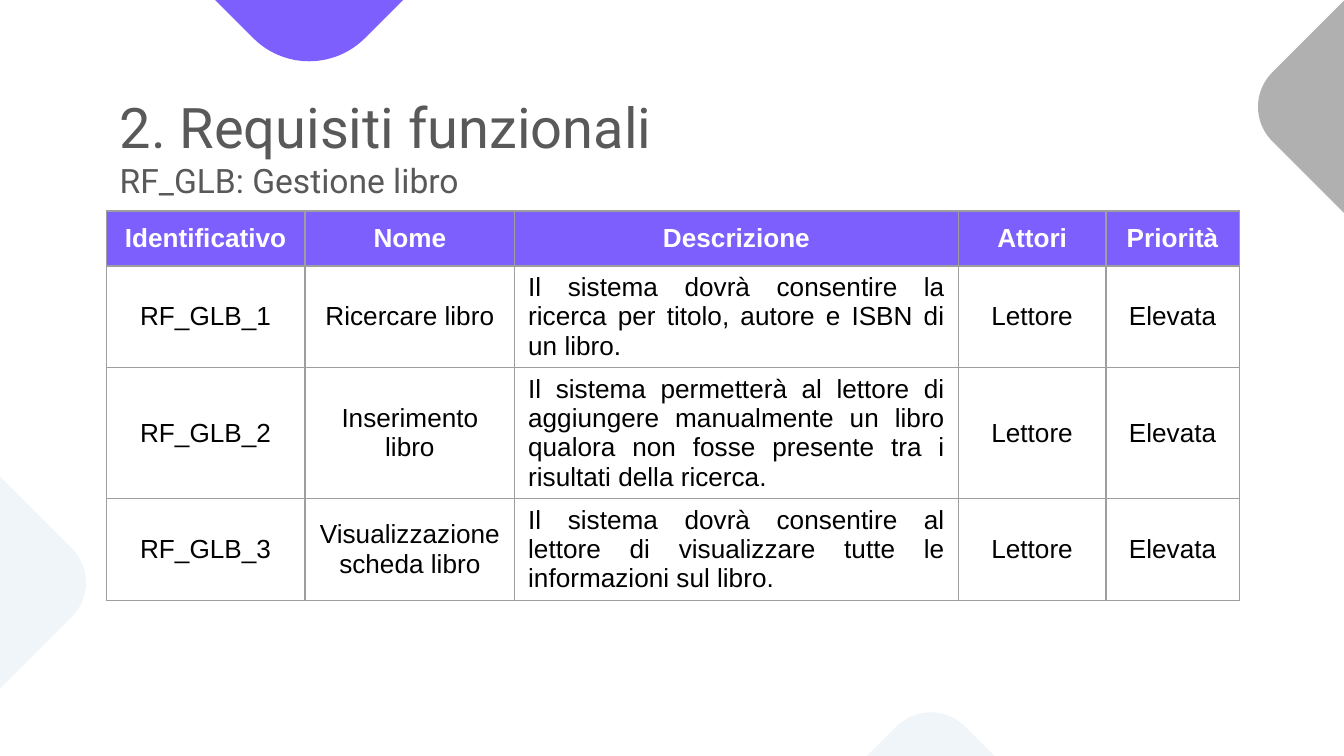
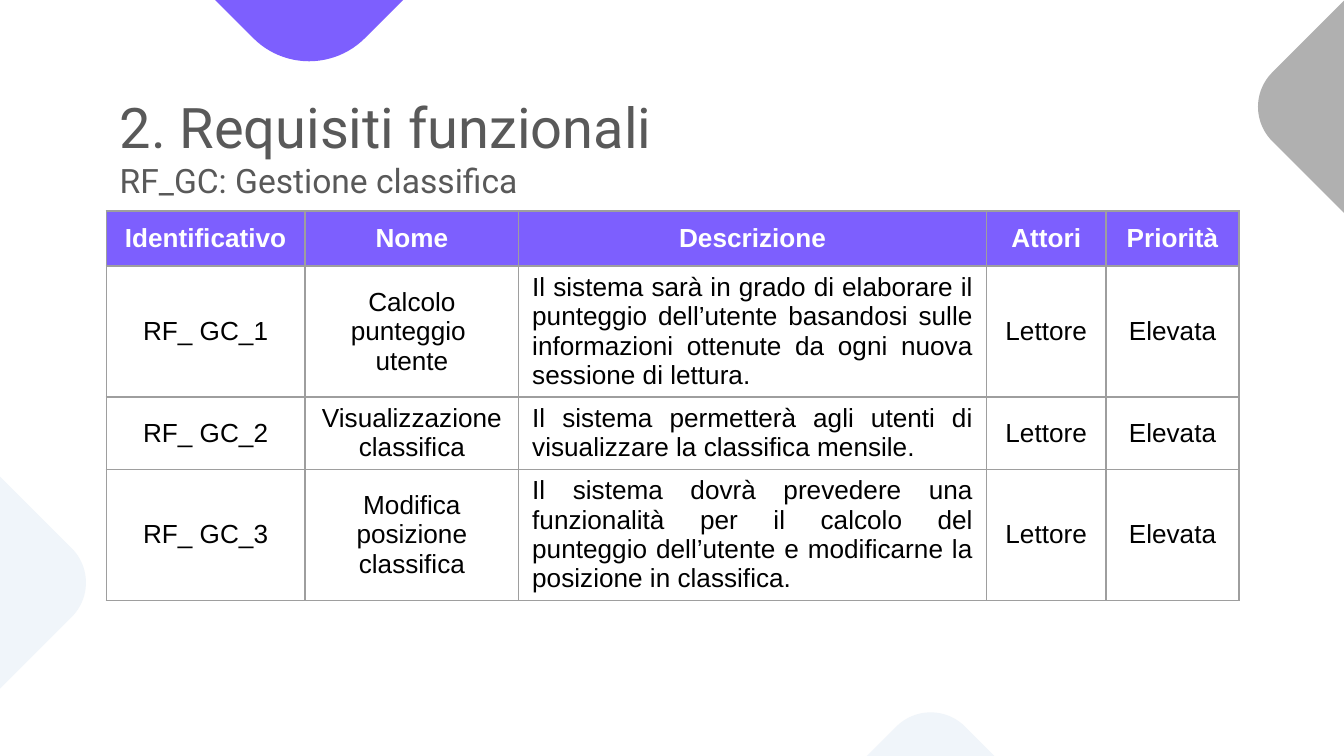
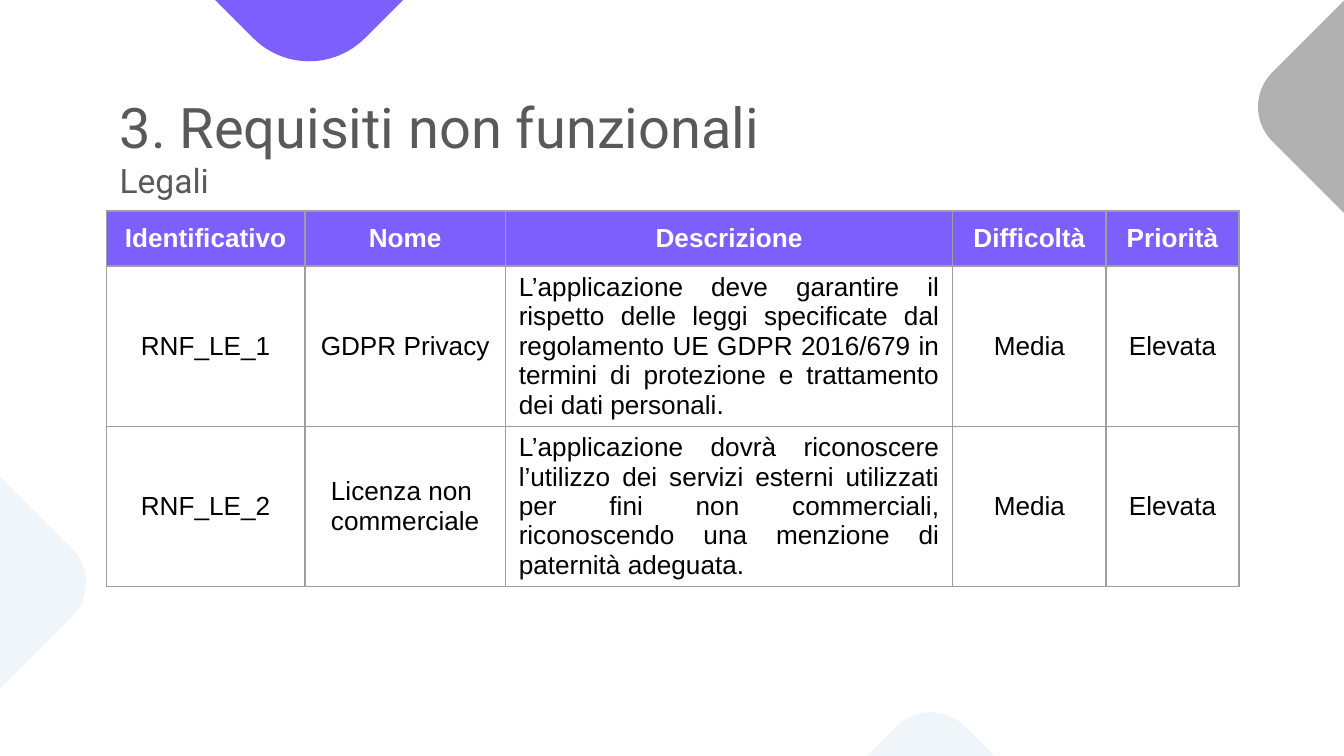
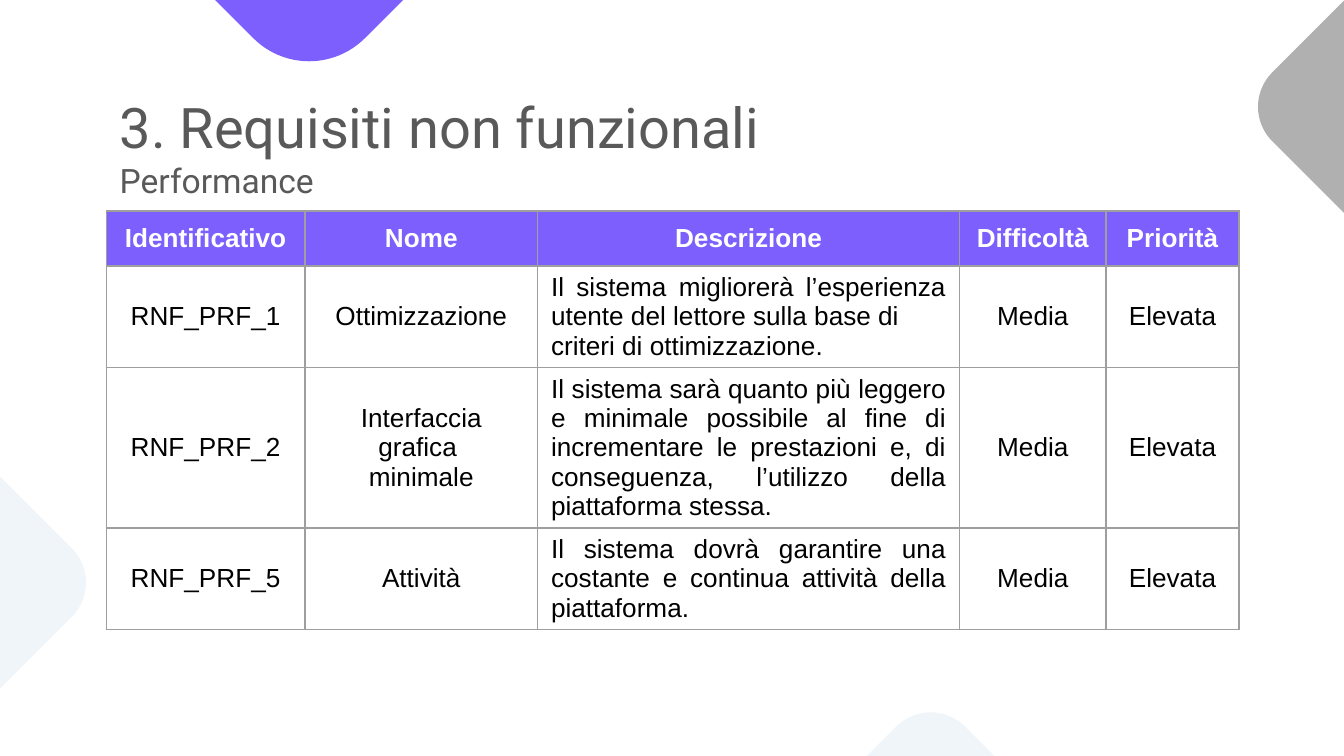
from copy import deepcopy

from lxml import etree
from pptx import Presentation
from pptx.dml.color import RGBColor
from pptx.enum.shapes import MSO_SHAPE
from pptx.enum.text import MSO_ANCHOR, MSO_AUTO_SIZE, PP_ALIGN
from pptx.oxml.ns import qn
from pptx.util import Inches, Pt

PURPLE = RGBColor(0x7D, 0x5F, 0xFE)
GRAY = RGBColor(0xB0, 0xB0, 0xB0)
PALE_BLUE = RGBColor(0xF0, 0xF5, 0xFA)
TITLE_GRAY = RGBColor(0x59, 0x59, 0x59)
BORDER_GRAY = RGBColor(0x9E, 0x9E, 0x9E)
WHITE = RGBColor(0xFF, 0xFF, 0xFF)
BLACK = RGBColor(0, 0, 0)

ROUNDED = MSO_SHAPE.ROUNDED_RECTANGLE
CENTER, JUSTIFY, LEFT = PP_ALIGN.CENTER, PP_ALIGN.JUSTIFY, PP_ALIGN.LEFT
TOP, MIDDLE = MSO_ANCHOR.TOP, MSO_ANCHOR.MIDDLE

TITLE_ONLY = 5
MARGIN = 0.79
CONTENT_WIDTH = 8.43
TABLE_TOP = 1.57
ROW_HEIGHT = 0.41
DESCRIPTION = 2

# left, top, side, colour
DIAMONDS = [
    (0.54, -3.55, 3.52, PURPLE),
    (9.66, -0.29, 2.17, GRAY),
    (-1.83, 3.25, 2.17, PALE_BLUE),
    (5.84, 5.6, 2.17, PALE_BLUE),
]

# heading, subheading, fourth column, its value, column widths,
# requirements as (identifier, name, description)
SECTIONS = [
    ("2. Requisiti funzionali", "RF_GLB: Gestione libro", "Attori", "Lettore",
     [1.48, 1.56, 3.3, 1.1, 0.99], [
         ("RF_GLB_1", "Ricercare libro",
          "Il sistema dovrà consentire la ricerca per titolo, autore e ISBN "
          "di un libro."),
         ("RF_GLB_2", "Inserimento libro",
          "Il sistema permetterà al lettore di aggiungere manualmente un libro "
          "qualora non fosse presente tra i risultati della ricerca."),
         ("RF_GLB_3", "Visualizzazione scheda libro",
          "Il sistema dovrà consentire al lettore di visualizzare tutte le "
          "informazioni sul libro."),
     ]),
    ("2. Requisiti funzionali", "RF_GC: Gestione classifica", "Attori", "Lettore",
     [1.48, 1.59, 3.48, 0.89, 0.99], [
         ("RF_ GC_1", "Calcolo punteggio \nutente",
          "Il sistema sarà in grado di elaborare il punteggio dell’utente "
          "basandosi sulle informazioni ottenute da ogni nuova sessione di "
          "lettura."),
         ("RF_ GC_2", "Visualizzazione \nclassifica",
          "Il sistema permetterà agli utenti di visualizzare la classifica "
          "mensile."),
         ("RF_ GC_3", "Modifica posizione classifica",
          "Il sistema dovrà prevedere una funzionalità per il calcolo del "
          "punteggio dell’utente e modificarne la posizione in classifica."),
     ]),
    ("3. Requisiti non funzionali", "Legali", "Difficoltà", "Media",
     [1.48, 1.49, 3.33, 1.14, 0.99], [
         ("RNF_LE_1", "GDPR Privacy",
          "L’applicazione deve garantire il rispetto delle leggi specificate "
          "dal regolamento UE GDPR 2016/679 in termini di protezione e "
          "trattamento dei dati personali."),
         ("RNF_LE_2", "Licenza non \ncommerciale",
          "L’applicazione dovrà riconoscere l’utilizzo dei servizi esterni "
          "utilizzati per fini non commerciali, riconoscendo una menzione di "
          "paternità adeguata."),
     ]),
    ("3. Requisiti non funzionali", "Performance", "Difficoltà", "Media",
     [1.48, 1.73, 3.14, 1.09, 0.99], [
         ("RNF_PRF_1", "Ottimizzazione",
          "Il sistema migliorerà l’esperienza utente del lettore sulla base "
          "di \ncriteri di ottimizzazione."),
         ("RNF_PRF_2", "Interfaccia grafica \nminimale",
          "Il sistema sarà quanto più leggero e minimale possibile al fine di "
          "incrementare le prestazioni e, di conseguenza, l’utilizzo della "
          "piattaforma stessa."),
         ("RNF_PRF_5", "Attività",
          "Il sistema dovrà garantire una costante e continua attività della "
          "piattaforma."),
     ]),
]


def add_text(paragraph, text, *, size, color, font="Arial", bold=False, align=CENTER):
    paragraph.alignment = align
    run = paragraph.add_run()
    run.text = text
    run.font.size = Pt(size)
    run.font.name = font
    run.font.bold = bold
    run.font.color.rgb = color


def add_borders(cell):
    properties = cell._tc.get_or_add_tcPr()
    for position, side in enumerate(("a:lnL", "a:lnR", "a:lnT", "a:lnB")):
        line = etree.Element(qn(side), w=str(Pt(0.75)))
        solid = etree.SubElement(line, qn("a:solidFill"))
        etree.SubElement(solid, qn("a:srgbClr"), val=str(BORDER_GRAY))
        properties.insert(position, line)


prs = Presentation()
prs.slide_width = Inches(10)
prs.slide_height = Inches(10) * 9 // 16

layout = prs.slide_layouts[TITLE_ONLY]
layout.background.fill.solid()
layout.background.fill.fore_color.rgb = WHITE
layout_title = layout.placeholders[0]
layout_title.left, layout_title.top = Inches(MARGIN), Inches(0.59)
layout_title.width, layout_title.height = Inches(CONTENT_WIDTH), Inches(0.98)
title_frame = layout_title.text_frame
title_frame.margin_left = title_frame.margin_right = Inches(0.1)
title_frame.margin_top = title_frame.margin_bottom = Inches(0.1)
title_frame.vertical_anchor = TOP
title_frame.auto_size = MSO_AUTO_SIZE.NONE

slides = [prs.slides.add_slide(layout) for _ in SECTIONS]

# Layouts cannot add shapes, so the diamonds are made on a slide and moved.
for number, (left, top, side, color) in enumerate(DIAMONDS):
    diamond = slides[0].shapes.add_shape(
        ROUNDED, Inches(left), Inches(top), Inches(side), Inches(side))
    diamond.rotation = 315
    diamond.shadow.inherit = False
    diamond.fill.solid()
    diamond.fill.fore_color.rgb = color
    diamond.line.fill.background()
    diamond._element.nvSpPr.cNvPr.set("id", str(100 + number))
    layout.shapes._spTree.append(diamond._element)

for slide, section in zip(slides, SECTIONS):
    heading, subheading, fourth_column, fourth_value, widths, requirements = section

    title = slide.shapes.title.text_frame.paragraphs[0]
    add_text(title, heading, size=30, color=TITLE_GRAY, font="Roboto", align=LEFT)
    title.add_line_break()
    heading_format = title._p.find(qn("a:r")).find(qn("a:rPr"))
    title._p[-1].append(deepcopy(heading_format))
    add_text(title, subheading, size=18, color=TITLE_GRAY, font="Roboto", align=LEFT)

    rows = [("Identificativo", "Nome", "Descrizione", fourth_column, "Priorità")]
    rows += [(*requirement, fourth_value, "Elevata") for requirement in requirements]
    table = slide.shapes.add_table(
        len(rows), len(widths), Inches(MARGIN), Inches(TABLE_TOP),
        Inches(CONTENT_WIDTH), Inches(ROW_HEIGHT * len(rows))).table
    table.horz_banding = False
    for column, width in zip(table.columns, widths):
        column.width = Inches(width)

    for row_index, row in enumerate(rows):
        is_header = row_index == 0
        table.rows[row_index].height = Inches(ROW_HEIGHT)
        for column_index, text in enumerate(row):
            cell = table.cell(row_index, column_index)
            is_description = column_index == DESCRIPTION and not is_header
            cell.vertical_anchor = TOP if is_description else MIDDLE
            if is_header:
                cell.fill.solid()
                cell.fill.fore_color.rgb = PURPLE
            else:
                cell.fill.background()
            add_borders(cell)
            for line_index, line in enumerate(text.split("\n")):
                frame = cell.text_frame
                paragraph = frame.add_paragraph() if line_index else frame.paragraphs[0]
                add_text(paragraph, line, size=14, bold=is_header,
                         color=WHITE if is_header else BLACK,
                         align=JUSTIFY if is_description else CENTER)

prs.save("out.pptx")
